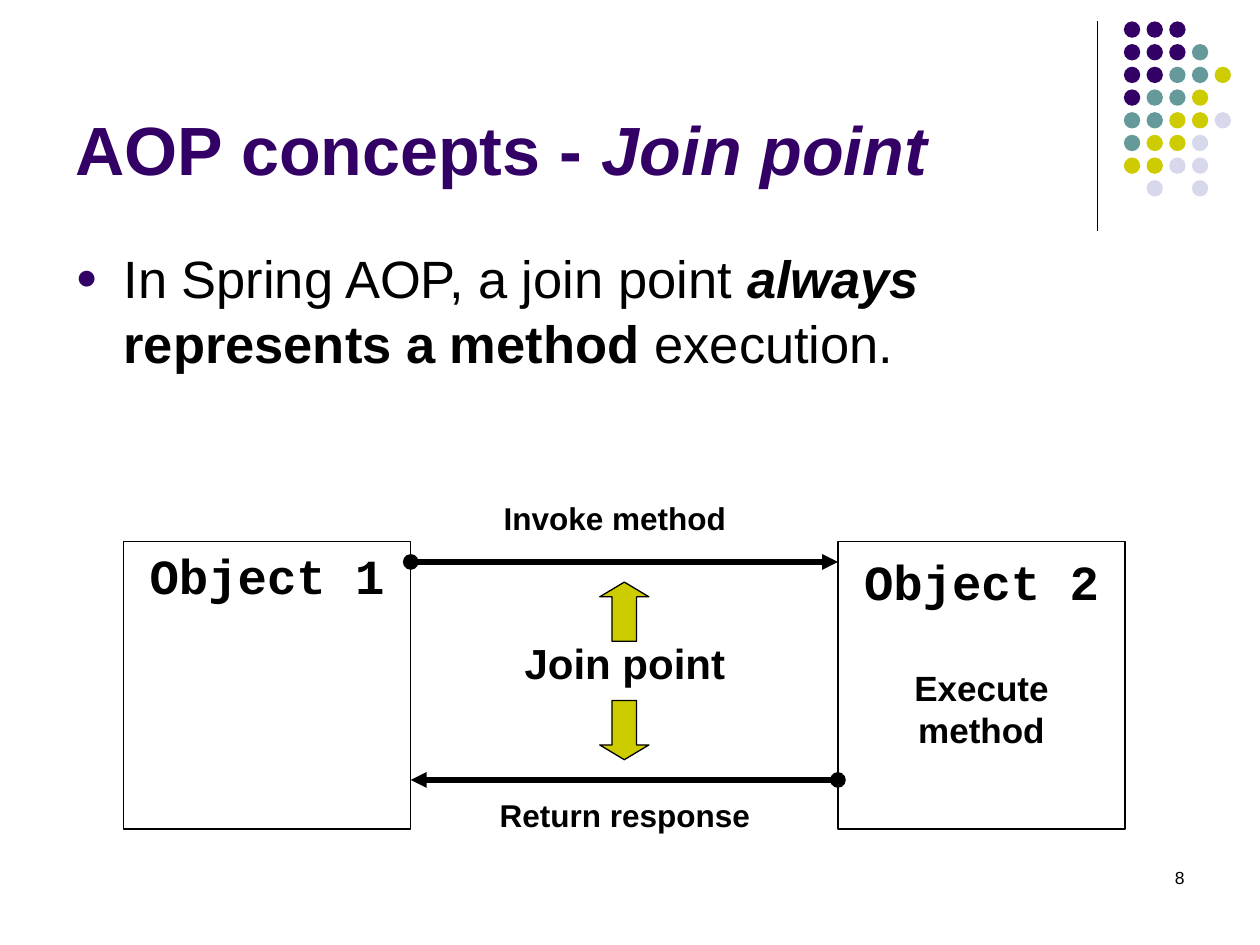
from lxml.etree import SubElement
from pptx import Presentation
from pptx.dml.color import RGBColor
from pptx.enum.shapes import MSO_CONNECTOR, MSO_SHAPE
from pptx.enum.text import MSO_ANCHOR, PP_ALIGN
from pptx.oxml.ns import qn
from pptx.util import Inches, Pt

PURPLE, TEAL, LIME, LAVENDER, BLACK = "330066", "669999", "CCCC00", "D8D8EC", "000000"
DOT_COLORS = {"P": PURPLE, "T": TEAL, "Y": LIME, "L": LAVENDER}
DOT_ROWS = ["PPP", "PPPT", "PPTTY", "PTTY", "TTYYL", "TYYL", "YYLL", " L L"]
DOT_SIZE, DOT_PITCH = 0.13, 0.18
DOT_LEFT, DOT_TOP = 8.92, 0.17
OBJECT_TOP, OBJECT_SIZE = 4.3, 2.28
OBJECT_1_LEFT, OBJECT_2_LEFT = 0.98, 6.65
OBJECT_1_RIGHT = OBJECT_1_LEFT + OBJECT_SIZE
LABEL_WIDTH = 2.6


def rgb(color):
    return RGBColor.from_string(color)


def apply_format(target, **values):
    for attribute, value in values.items():
        setattr(target, attribute, value)


def add_run(paragraph, text, size, color=BLACK, name="Arial", **style):
    run = paragraph.add_run()
    run.text = text
    apply_format(run.font, size=Pt(size), name=name, **style)
    run.font.color.rgb = rgb(color)


def place(element, left, top, width, height):
    apply_format(element, left=Inches(left), top=Inches(top),
                 width=Inches(width), height=Inches(height))


def add_figure(slide, preset, box, fill=None, outline=None):
    figure = slide.shapes.add_shape(preset, *map(Inches, box))
    figure.shadow.inherit = False
    if fill:
        figure.fill.solid()
        figure.fill.fore_color.rgb = rgb(fill)
    else:
        figure.fill.background()
    if outline:
        figure.line.color.rgb = rgb(outline)
        figure.line.width = Pt(0.75)
    else:
        figure.line.fill.background()
    return figure


def add_line(slide, start, end, width, head=None, tail=None):
    connector = slide.shapes.add_connector(
        MSO_CONNECTOR.STRAIGHT, *map(Inches, (*start, *end)))
    connector.line.color.rgb = rgb(BLACK)
    connector.line.width = Pt(width)
    outline = connector.line._get_or_add_ln()
    for tag, ending in (("a:headEnd", head), ("a:tailEnd", tail)):
        if ending:
            SubElement(outline, qn(tag), type=ending)
    SubElement(connector._element.spPr, qn("a:effectLst"))


def add_label(slide, text, box, size, alignment=PP_ALIGN.CENTER, bold=True):
    label = slide.shapes.add_textbox(*map(Inches, box))
    label.text_frame.word_wrap = True
    paragraph = label.text_frame.paragraphs[0]
    paragraph.alignment = alignment
    add_run(paragraph, text, size, bold=bold)


def add_object(slide, left, name, text_inset, actions=()):
    box = (left, OBJECT_TOP, OBJECT_SIZE, OBJECT_SIZE)
    frame = add_figure(slide, MSO_SHAPE.RECTANGLE, box, outline=BLACK).text_frame
    apply_format(frame, word_wrap=False, vertical_anchor=MSO_ANCHOR.TOP,
                 margin_top=Inches(text_inset))
    heading = frame.paragraphs[0]
    heading.alignment = PP_ALIGN.CENTER
    add_run(heading, name, 28, name="Courier New", bold=True)
    for index, action in enumerate(actions):
        paragraph = frame.add_paragraph()
        apply_format(paragraph, alignment=PP_ALIGN.CENTER,
                     space_before=Pt(0 if index else 32))
        add_run(paragraph, action, 20, bold=True)


def add_dots(slide):
    for row, codes in enumerate(DOT_ROWS):
        for column, code in enumerate(codes):
            if code in DOT_COLORS:
                box = (DOT_LEFT + column * DOT_PITCH, DOT_TOP + row * DOT_PITCH,
                       DOT_SIZE, DOT_SIZE)
                add_figure(slide, MSO_SHAPE.OVAL, box, fill=DOT_COLORS[code])


def fill_title(title):
    place(title, 0.5, 0.13, 8.25, 1.42)
    title.text_frame.vertical_anchor = MSO_ANCHOR.BOTTOM
    paragraph = title.text_frame.paragraphs[0]
    paragraph.alignment = PP_ALIGN.LEFT
    add_run(paragraph, "AOP concepts - ", 39, PURPLE, bold=True)
    add_run(paragraph, "Join point", 39, PURPLE, bold=True, italic=True)


def fill_body(body):
    place(body, 0.5, 1.88, 9, 1.48)
    paragraph = body.text_frame.paragraphs[0]
    apply_format(paragraph, space_before=Pt(7.5), line_spacing=1.04)
    properties = paragraph._p.get_or_add_pPr()
    properties.set("marL", str(Inches(0.38)))
    properties.set("indent", str(-Inches(0.38)))
    bullet_color = SubElement(properties, qn("a:buClr"))
    SubElement(bullet_color, qn("a:srgbClr"), val=PURPLE)
    SubElement(properties, qn("a:buSzPct"), val="70000")
    SubElement(properties, qn("a:buFont"), typeface="Arial")
    SubElement(properties, qn("a:buChar"), char="●")
    add_run(paragraph, "In Spring AOP, a join point ", 30)
    add_run(paragraph, "always", 30, bold=True, italic=True)
    add_run(paragraph, " represents a method", 30, bold=True)
    add_run(paragraph, " execution.", 30)


def add_join_point_arrows(slide):
    for preset, top in ((MSO_SHAPE.UP_ARROW, 4.62), (MSO_SHAPE.DOWN_ARROW, 5.56)):
        arrow = add_figure(slide, preset, (4.76, top, 0.39, 0.47), LIME, BLACK)
        arrow.adjustments[0] = 0.5
        arrow.adjustments[1] = 0.3


def main():
    presentation = Presentation()
    apply_format(presentation, slide_width=Inches(10), slide_height=Inches(7.5))
    slide = presentation.slides.add_slide(presentation.slide_layouts[1])

    add_line(slide, (8.71, 0.17), (8.71, 1.83), 0.75)
    add_dots(slide)
    fill_title(slide.shapes.title)
    fill_body(slide.placeholders[1])

    add_object(slide, OBJECT_1_LEFT, "Object 1", 0.03)
    add_object(slide, OBJECT_2_LEFT, "Object 2", 0.08, ("Execute", "method"))
    add_line(slide, (OBJECT_1_RIGHT, 4.46), (OBJECT_2_LEFT, 4.46), 3, "oval", "triangle")
    add_line(slide, (OBJECT_2_LEFT, 6.19), (OBJECT_1_RIGHT, 6.19), 3, "oval", "triangle")
    add_label(slide, "Invoke method", (3.58, 3.91, LABEL_WIDTH, 0.4), 18)
    add_label(slide, "Return response", (3.66, 6.27, LABEL_WIDTH, 0.4), 18)
    add_label(slide, "Join point", (3.66, 5.01, LABEL_WIDTH, 0.5), 24)
    add_join_point_arrows(slide)
    add_label(slide, "8", (7.17, 6.83, 2.33, 0.5), 10, PP_ALIGN.RIGHT, bold=False)
    presentation.save("out.pptx")


if __name__ == "__main__":
    main()
